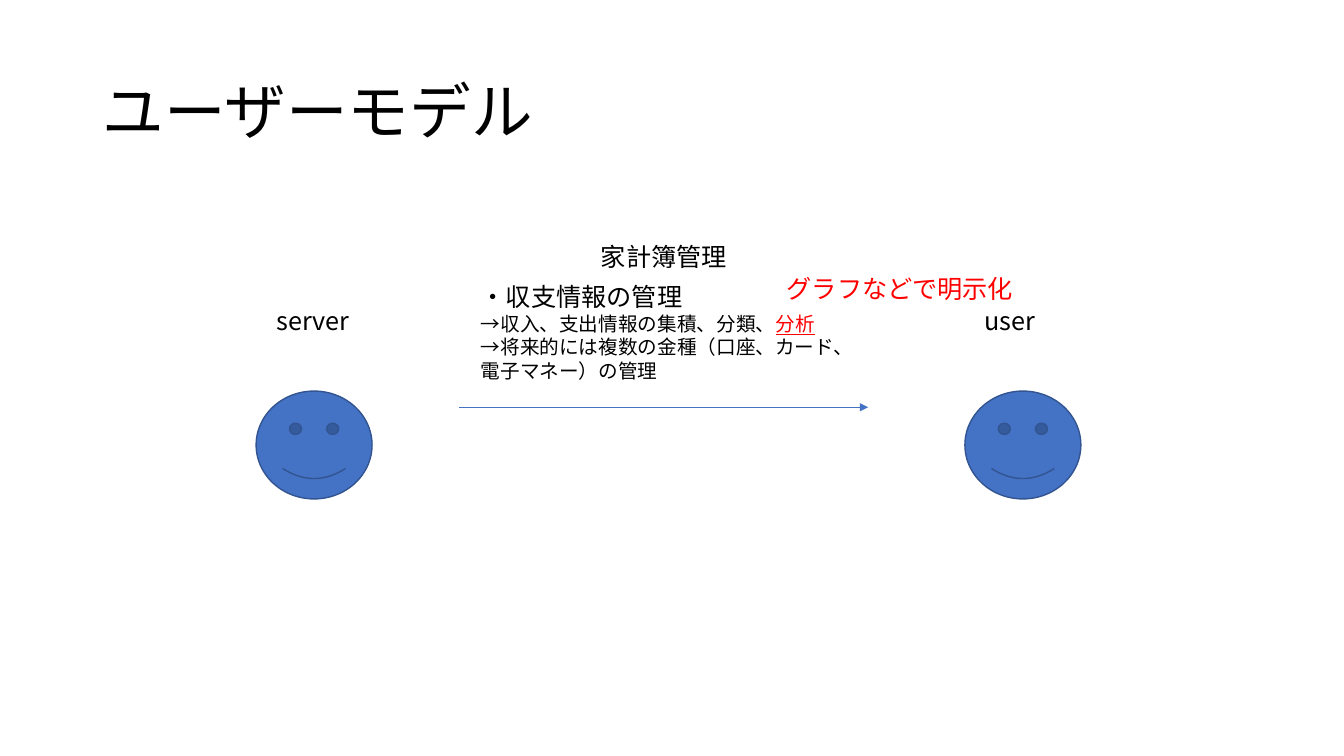
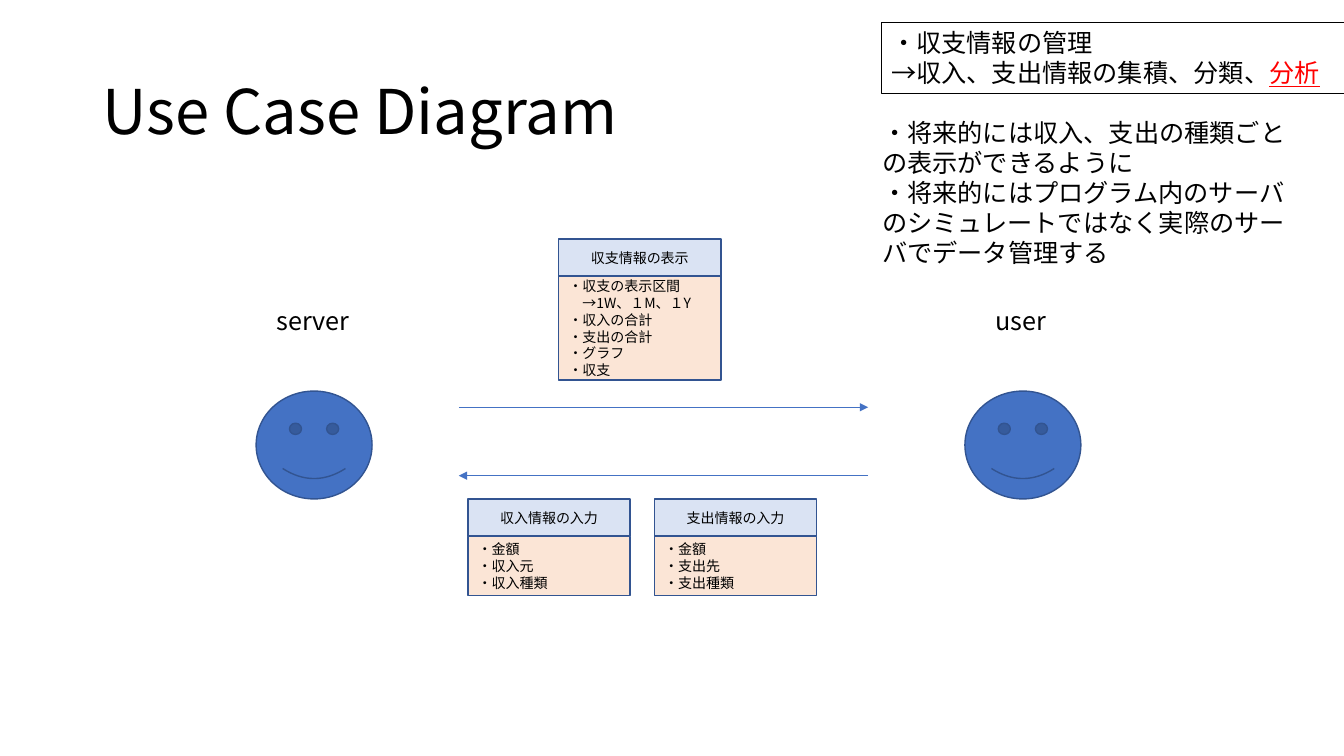
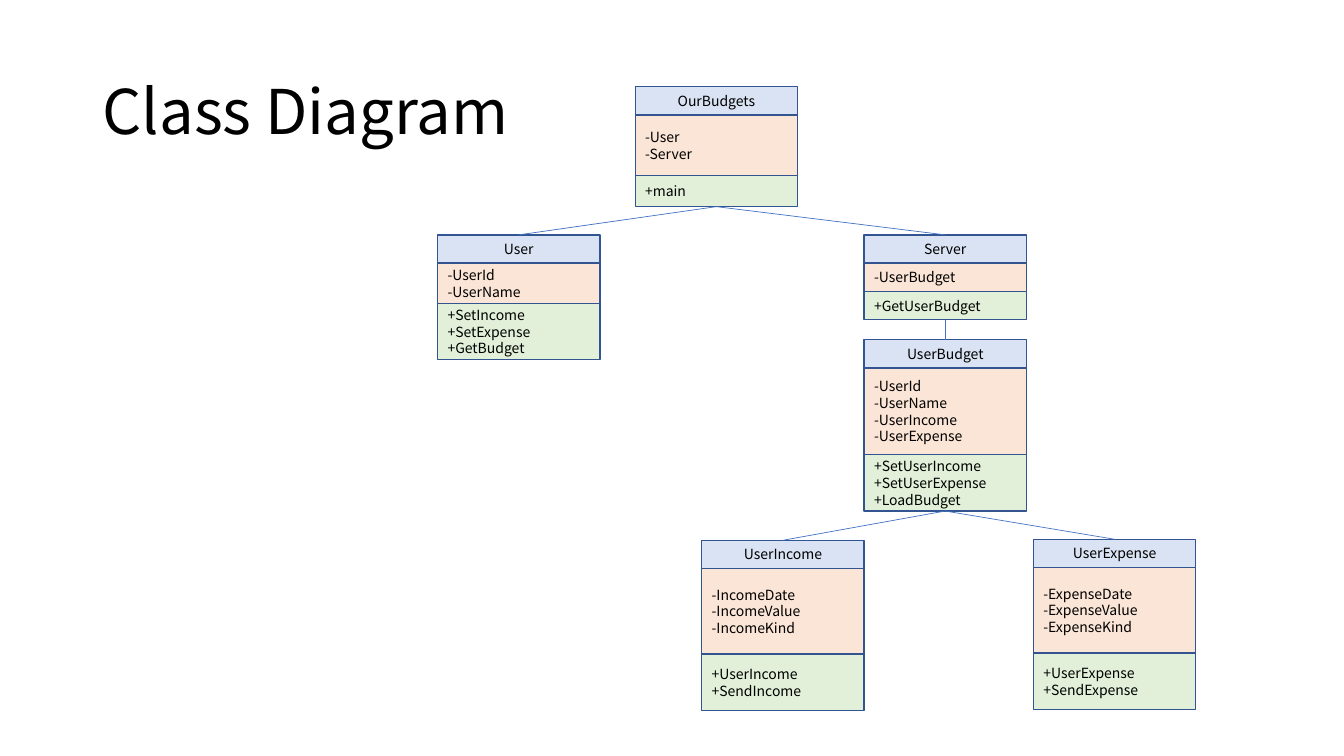
from lxml import etree
from pptx import Presentation
from pptx.dml.color import RGBColor
from pptx.enum.shapes import MSO_CONNECTOR, MSO_SHAPE
from pptx.enum.text import MSO_ANCHOR as ANCHOR, PP_ALIGN as ALIGN
from pptx.oxml.ns import qn
from pptx.util import Pt

PX = 9144  # EMU per px, 100 px to the inch
FONT = "Noto Sans CJK JP"
LEADING = 1.2

BLACK = RGBColor(0x00, 0x00, 0x00)
RED = RGBColor(0xFF, 0x00, 0x00)
BLUE = RGBColor(0x44, 0x72, 0xC4)
NAVY = RGBColor(0x32, 0x54, 0x91)
PALE_BLUE = RGBColor(0xDA, 0xE3, 0xF3)
PALE_ORANGE = RGBColor(0xFB, 0xE5, 0xD6)
PALE_GREEN = RGBColor(0xE2, 0xF0, 0xD9)

CARD_W = 161
BODY_FILLS = (PALE_ORANGE, PALE_GREEN)
ALERT = {"color": RED, "underline": True}


class Deck:
    def __init__(self, width, height):
        self.prs = Presentation()
        self.prs.slide_width = width * PX
        self.prs.slide_height = height * PX
        self.shapes = None

    def slide(self, title):
        s = self.prs.slides.add_slide(self.prs.slide_layouts[6])
        self.shapes = s.shapes
        self.text(92, 40, 1150, 145, [title], size=44, leading=1.08,
                  anchor=ANCHOR.MIDDLE)

    def set_text(self, sp, paragraphs, size=18, color=BLACK, align=ALIGN.LEFT,
                 anchor=ANCHOR.TOP, leading=LEADING):
        """Each paragraph is a string or a list of (text, format) runs."""
        tf = sp.text_frame
        tf.word_wrap = True
        tf.vertical_anchor = anchor
        for i, runs in enumerate(paragraphs):
            p = tf.paragraphs[0] if i == 0 else tf.add_paragraph()
            p.alignment = align
            if isinstance(runs, str):
                runs = [(runs, {})]
            for text, fmt in runs:
                r = p.add_run()
                r.text = text
                values = {"name": FONT, "size": size, "color": color, **fmt}
                line_size = values["size"]
                r.font.color.rgb = values.pop("color")
                values["size"] = Pt(line_size)
                for name, value in values.items():
                    setattr(r.font, name, value)
                ea = etree.SubElement(r.font._element, qn("a:ea"))
                ea.set("typeface", FONT)
            p.line_spacing = Pt(round(line_size * leading, 1))

    def text(self, x, y, w, h, paragraphs, **style):
        sp = self.shapes.add_textbox(x * PX, y * PX, w * PX, h * PX)
        self.set_text(sp, paragraphs, **style)

    def shape(self, kind, x, y, w, h, fill=None, line=NAVY, weight=1):
        sp = self.shapes.add_shape(kind, x * PX, y * PX, w * PX, h * PX)
        sp.shadow.inherit = False
        if fill is None:
            sp.fill.background()
        else:
            sp.fill.solid()
            sp.fill.fore_color.rgb = fill
        sp.line.color.rgb = line
        sp.line.width = Pt(weight)
        return sp

    def line(self, x1=0, y1=0, x2=0, y2=0, arrow=False):
        c = self.shapes.add_connector(MSO_CONNECTOR.STRAIGHT, x1 * PX, y1 * PX,
                                      x2 * PX, y2 * PX)
        c.line.color.rgb = BLUE
        c.line.width = Pt(0.5)
        if arrow:
            ln = c._element.spPr.find(qn("a:ln"))
            tail = etree.SubElement(ln, qn("a:tailEnd"))
            tail.set("type", "triangle")
        etree.SubElement(c._element.spPr, qn("a:effectLst"))
        return c

    def link(self, parent, child):
        """Join the foot of one card to the head of another."""
        c = self.line()
        c.begin_connect(parent[-1], 2)
        c.end_connect(child[0], 0)

    def actor(self, x, name, label_x):
        self.shape(MSO_SHAPE.SMILEY_FACE, x, 388, 115, 107, BLUE)
        self.text(label_x, 298, 117, 40, [name], align=ALIGN.CENTER)

    def card(self, x, y, name, head_h, *bodies):
        """Stack a heading and (height, lines) bodies; return the boxes."""
        rows = [(head_h, [name], PALE_BLUE, ALIGN.CENTER)]
        rows += [(h, lines, fill, ALIGN.LEFT)
                 for (h, lines), fill in zip(bodies, BODY_FILLS)]
        boxes = []
        for h, lines, fill, align in rows:
            sp = self.shape(MSO_SHAPE.RECTANGLE, x, y, CARD_W, h, fill)
            self.set_text(sp, lines, size=10, align=align,
                          anchor=ANCHOR.MIDDLE)
            boxes.append(sp)
            y += h
        return boxes

    def exchange(self, user_label_x):
        """Draw the server, the user and the arrow between them."""
        self.actor(957, "user", user_label_x)
        self.actor(254, "server", 252)
        self.line(455, 404, 861, 404, arrow=True)


def user_model(deck):
    deck.slide("ユーザーモデル")
    deck.exchange(943)
    deck.text(508, 234, 301, 40, ["家計簿管理"], align=ALIGN.CENTER)
    small = {"size": 14}
    deck.text(467, 274, 380, 165, [
        "・収支情報の管理",
        [("→収入、支出情報の集積、分類、", small), ("分析", {**small, **ALERT})],
        [("→将来的には複数の金種（口座、カード、電子マネー）の管理", small)],
    ])
    deck.text(667, 266, 451, 40, ["グラフなどで明示化"], color=RED,
              align=ALIGN.CENTER)


def use_case_diagram(deck):
    deck.slide("Use Case Diagram")
    deck.exchange(954)
    deck.line(861, 472, 455, 472, arrow=True)
    scope = deck.shape(MSO_SHAPE.RECTANGLE, 874, 22, 460, 71, line=BLACK,
                       weight=0.75)
    deck.set_text(scope, [
        "・収支情報の管理",
        [("→収入、支出情報の集積、分類、", {}), ("分析", ALERT)],
    ])
    cases = [
        (464, 495, "収入情報の入力", 59, ["・金額", "・収入元", "・収入種類"]),
        (649, 495, "支出情報の入力", 59, ["・金額", "・支出先", "・支出種類"]),
        (554, 237, "収支情報の表示", 103,
         ["・収支の表示区間", "　→1W、１M、１Y", "・収入の合計",
          "・支出の合計", "・グラフ", "・収支"]),
    ]
    for x, y, name, h, lines in cases:
        deck.card(x, y, name, 37, (h, lines))
    deck.text(865, 111, 423, 162, [
        "・将来的には収入、支出の種類ごとの表示ができるように",
        "・将来的にはプログラム内のサーバのシミュレートではなく実際のサーバでデータ管理する",
    ])


def class_diagram(deck):
    deck.slide("Class Diagram")
    classes = [
        (434, 233, "User", (40, ["-UserId", "-UserName"]),
         (56, ["+SetIncome", "+SetExpense", "+GetBudget"])),
        (857, 233, "Server", (28, ["-UserBudget"]), (28, ["+GetUserBudget"])),
        (630, 86, "OurBudgets", (60, ["-User", "-Server"]), (31, ["+main"])),
        (857, 337, "UserBudget",
         (86, ["-UserId", "-UserName", "-UserIncome", "-UserExpense"]),
         (56, ["+SetUserIncome", "+SetUserExpense", "+LoadBudget"])),
        (696, 536, "UserIncome",
         (85, ["-IncomeDate", "-IncomeValue", "-IncomeKind"]),
         (56, ["+UserIncome", "+SendIncome"])),
        (1025, 535, "UserExpense",
         (85, ["-ExpenseDate", "-ExpenseValue", "-ExpenseKind"]),
         (56, ["+UserExpense", "+SendExpense"])),
    ]
    cards = {name: deck.card(x, y, name, 28, *bodies)
             for x, y, name, *bodies in classes}
    for parent, child in [
        ("OurBudgets", "User"), ("OurBudgets", "Server"),
        ("Server", "UserBudget"),
        ("UserBudget", "UserExpense"), ("UserBudget", "UserIncome"),
    ]:
        deck.link(cards[parent], cards[child])


def main():
    deck = Deck(1333, 750)
    user_model(deck)
    use_case_diagram(deck)
    class_diagram(deck)
    deck.prs.save("out.pptx")


if __name__ == "__main__":
    main()
